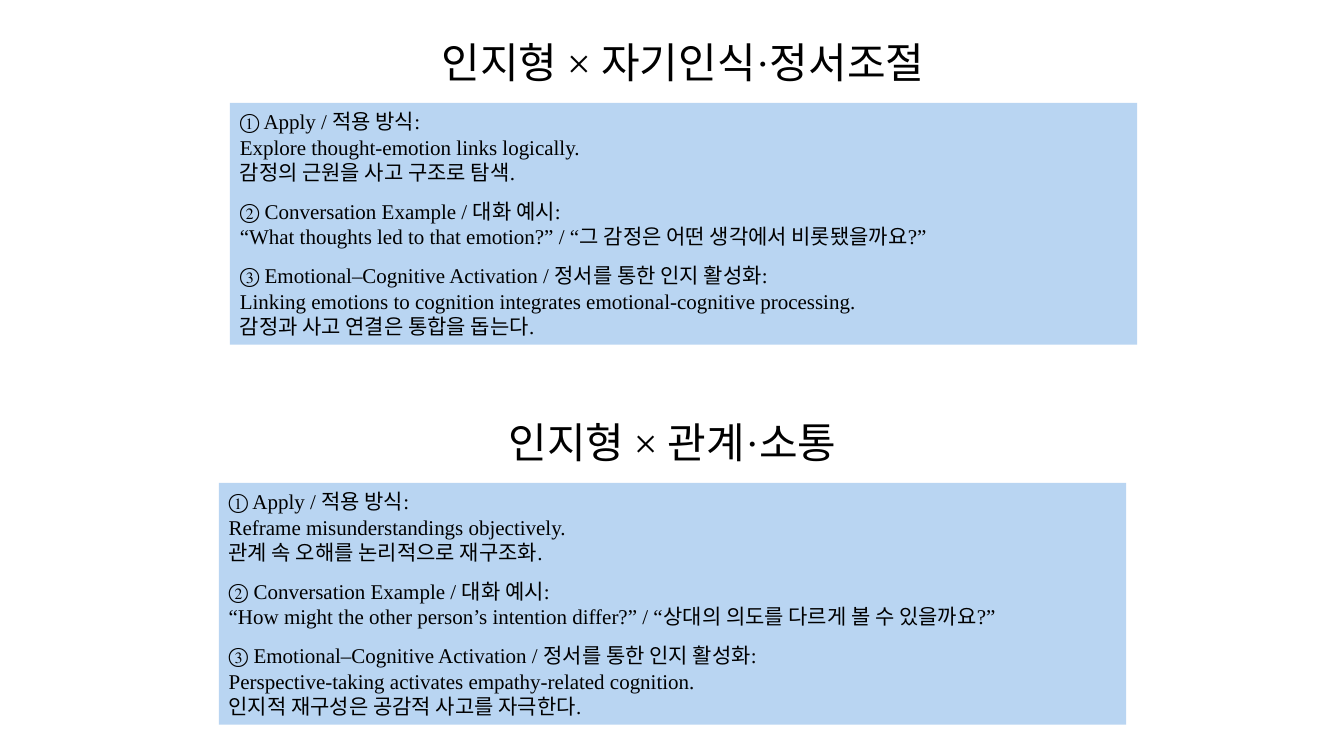
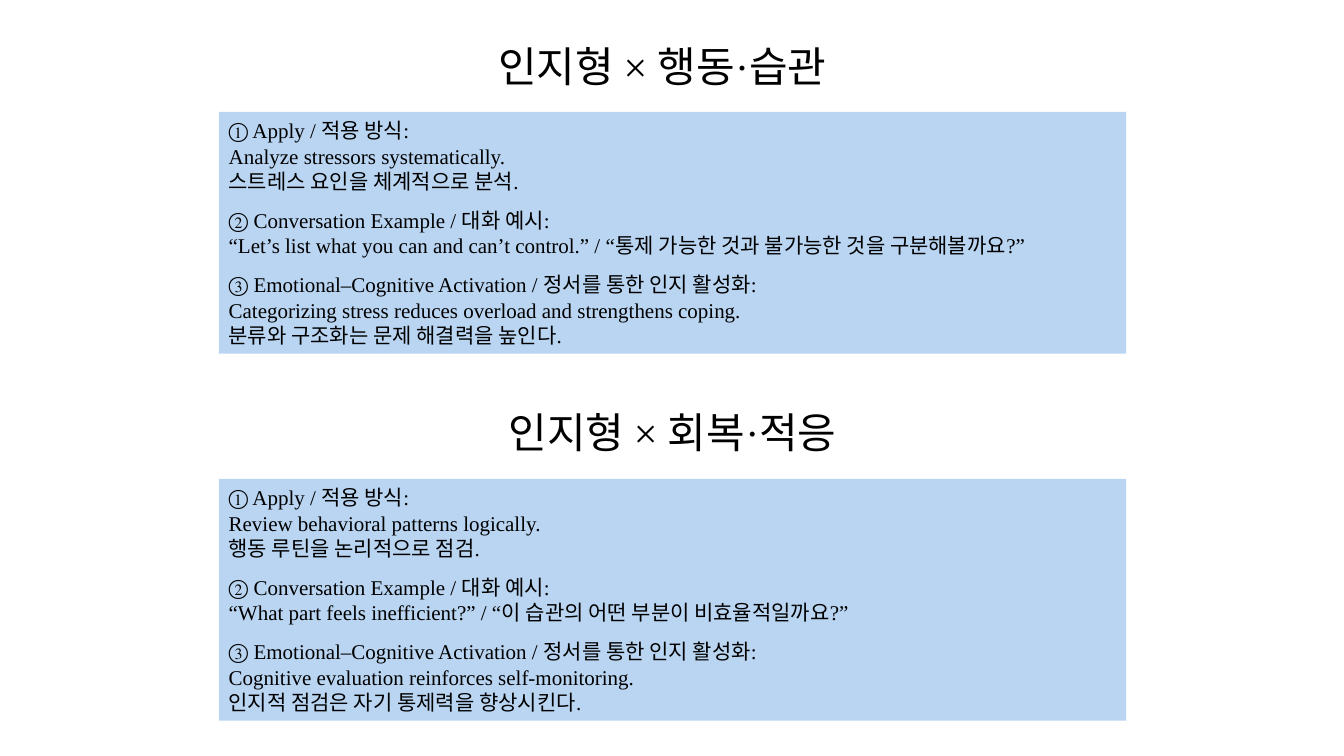
from copy import deepcopy

from pptx import Presentation
from pptx.dml.color import RGBColor
from pptx.enum.shapes import MSO_SHAPE
from pptx.enum.text import MSO_ANCHOR, MSO_AUTO_SIZE, PP_ALIGN
from pptx.oxml.ns import qn
from pptx.util import Emu, Pt

COLORS = {"panel": "B9D5F2", "text": "000000"}
FONT = "Times New Roman"
PX = 9144  # 100 px to the inch
SLIDE_SIZE = (1333, 750)
PANEL_SIZE = (900, 240)
HEADING_HEIGHT = 61

STEP_LABELS = [
    "① Apply / 적용 방식:",
    "② Conversation Example / 대화 예시:",
    "③ Emotional–Cognitive Activation / 정서를 통한 인지 활성화:",
]

# Each slide: topics with heading (left, top, width), panel (left, top) and step texts
SLIDES = [
    [
        {
            "heading": "인지형 × 자기인식·정서조절",
            "heading_at": (385, 31, 585),
            "panel_at": (228, 102),
            "steps": [
                "Explore thought-emotion links logically.\n감정의 근원을 사고 구조로 탐색.",
                "“What thoughts led to that emotion?” / “그 감정은 어떤 생각에서 비롯됐을까요?”",
                "Linking emotions to cognition integrates emotional-cognitive processing.\n"
                "감정과 사고 연결은 통합을 돕는다.",
            ],
        },
        {
            "heading": "인지형 × 관계·소통",
            "heading_at": (417, 408, 500),
            "panel_at": (217, 479),
            "steps": [
                "Reframe misunderstandings objectively.\n관계 속 오해를 논리적으로 재구조화.",
                "“How might the other person’s intention differ?” / "
                "“상대의 의도를 다르게 볼 수 있을까요?”",
                "Perspective-taking activates empathy-related cognition.\n"
                "인지적 재구성은 공감적 사고를 자극한다.",
            ],
        },
    ],
    [
        {
            "heading": "인지형 × 행동·습관",
            "heading_at": (407, 35, 500),
            "panel_at": (217, 111),
            "steps": [
                "Analyze stressors systematically.\n스트레스 요인을 체계적으로 분석.",
                "“Let’s list what you can and can’t control.” / "
                "“통제 가능한 것과 불가능한 것을 구분해볼까요?”",
                "Categorizing stress reduces overload and strengthens coping.\n"
                "분류와 구조화는 문제 해결력을 높인다.",
            ],
        },
        {
            "heading": "인지형 × 회복·적응",
            "heading_at": (417, 398, 500),
            "panel_at": (217, 475),
            "steps": [
                "Review behavioral patterns logically.\n행동 루틴을 논리적으로 점검.",
                "“What part feels inefficient?” / “이 습관의 어떤 부분이 비효율적일까요?”",
                "Cognitive evaluation reinforces self-monitoring.\n"
                "인지적 점검은 자기 통제력을 향상시킨다.",
            ],
        },
    ],
]


def px(*lengths):
    return [Emu(length * PX) for length in lengths]


def write(shape, paragraphs, size, align=PP_ALIGN.LEFT, anchor=MSO_ANCHOR.TOP, gap=0):
    """Fill a shape with paragraphs; gap is the space between them in points."""
    frame = shape.text_frame
    frame.word_wrap = True
    frame.auto_size = MSO_AUTO_SIZE.SHAPE_TO_FIT_TEXT
    frame.vertical_anchor = anchor
    for index, text in enumerate(paragraphs):
        paragraph = frame.add_paragraph() if index else frame.paragraphs[0]
        paragraph.text = text
        paragraph.alignment = align
        if index < len(paragraphs) - 1:
            paragraph.space_after = Pt(gap)
        for run in paragraph.runs:
            run.font.name = FONT
            run.font.size = Pt(size)
            run.font.color.rgb = RGBColor.from_string(COLORS["text"])
        # Line breaks take the run format, so that line heights stay even
        for line_break in paragraph._p.findall(qn("a:br")):
            line_break.insert(0, deepcopy(paragraph.runs[0].font._element))


def add_heading(slide, topic, is_title):
    left, top, width = topic["heading_at"]
    box = px(left, top, width, HEADING_HEIGHT)
    if is_title:
        heading = slide.shapes.title
        heading.left, heading.top, heading.width, heading.height = box
    else:
        heading = slide.shapes.add_textbox(*box)
    write(heading, [topic["heading"]], size=30, align=PP_ALIGN.CENTER)


def add_panel(slide, topic):
    panel = slide.shapes.add_shape(MSO_SHAPE.RECTANGLE, *px(*topic["panel_at"], *PANEL_SIZE))
    panel.shadow.inherit = False
    panel.fill.solid()
    panel.fill.fore_color.rgb = RGBColor.from_string(COLORS["panel"])
    panel.line.fill.background()
    steps = [f"{label}\n{text}" for label, text in zip(STEP_LABELS, topic["steps"])]
    write(panel, steps, size=15, anchor=MSO_ANCHOR.MIDDLE, gap=10)


def main():
    deck = Presentation()
    deck.slide_width, deck.slide_height = px(*SLIDE_SIZE)
    title_only = deck.slide_layouts[5]
    for topics in SLIDES:
        slide = deck.slides.add_slide(title_only)
        for index, topic in enumerate(topics):
            add_heading(slide, topic, is_title=index == 0)
            add_panel(slide, topic)
    deck.save("out.pptx")


if __name__ == "__main__":
    main()
